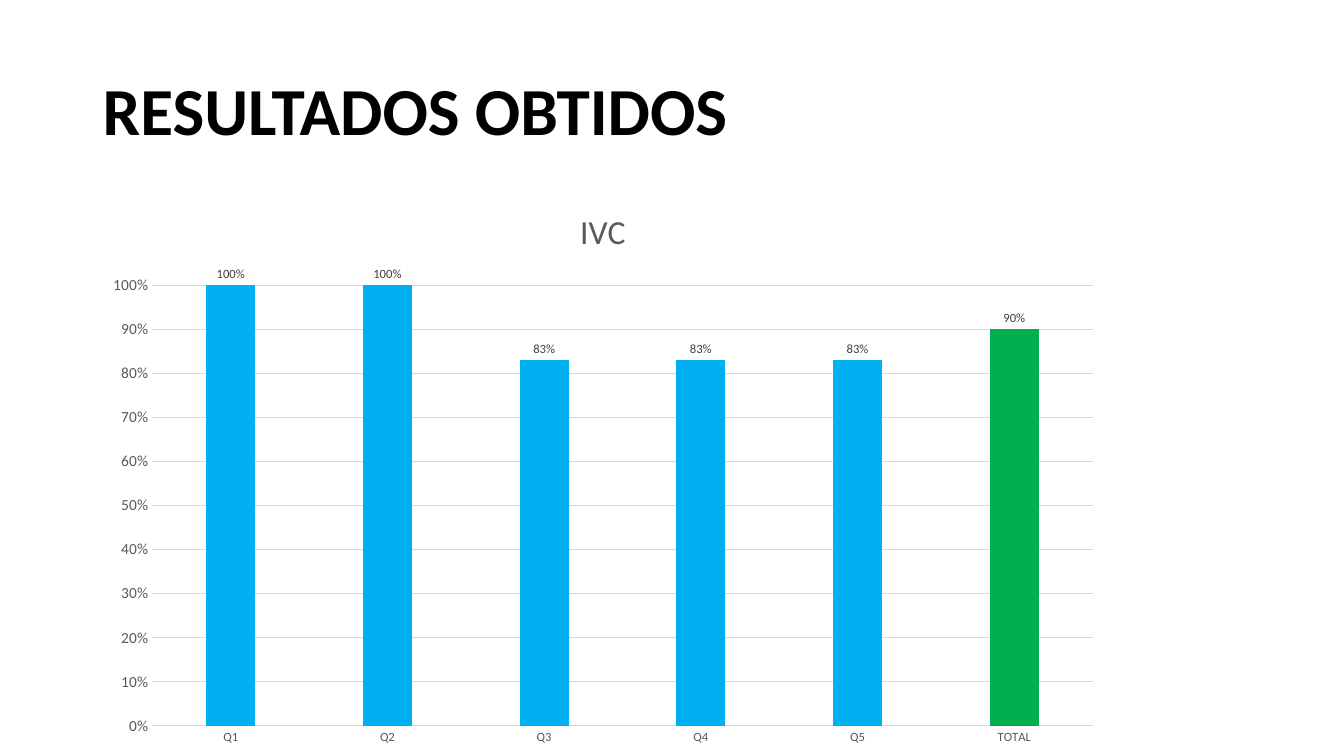
from dataclasses import dataclass

from pptx import Presentation
from pptx.chart.data import CategoryChartData
from pptx.dml.color import RGBColor
from pptx.enum.chart import XL_CHART_TYPE, XL_LABEL_POSITION, XL_TICK_MARK
from pptx.enum.text import MSO_ANCHOR
from pptx.util import Emu, Pt

PX = 9144  # 100 px to the inch
FONT = "Calibri"
BLACK = RGBColor(0x00, 0x00, 0x00)
GRAY = RGBColor(0x59, 0x59, 0x59)
LABEL_GRAY = RGBColor(0x40, 0x40, 0x40)
GRID_GRAY = RGBColor(0xD9, 0xD9, 0xD9)
BLUE = RGBColor(0x00, 0xB0, 0xF0)
GREEN = RGBColor(0x00, 0xB0, 0x50)


@dataclass(frozen=True)
class Bar:
    category: str
    value: float
    color: RGBColor = BLUE


BARS = [
    Bar("Q1", 1),
    Bar("Q2", 1),
    Bar("Q3", 0.83),
    Bar("Q4", 0.83),
    Bar("Q5", 0.83),
    Bar("TOTAL", 0.9, GREEN),
]


def px(*lengths: int) -> list[Emu]:
    return [Emu(n * PX) for n in lengths]


def set_font(font, size: int, color: RGBColor, bold: bool = False) -> None:
    font.name, font.size, font.bold = FONT, Pt(size), bold
    font.color.rgb = color


def write(tf, text: str, *, size: int, color: RGBColor, bold: bool = False,
          spacing: float | None = None) -> None:
    p = tf.paragraphs[0]
    p.line_spacing = spacing
    r = p.add_run()
    r.text = text
    set_font(r.font, size, color, bold)


def set_line(line, color: RGBColor) -> None:
    line.color.rgb = color
    line.width = Pt(0.75)


def add_heading(slide) -> None:
    tf = slide.shapes.add_textbox(*px(92, 40, 1150, 145)).text_frame
    tf.word_wrap = True
    tf.vertical_anchor = MSO_ANCHOR.MIDDLE
    write(tf, "RESULTADOS OBTIDOS", size=48, color=BLACK, bold=True, spacing=0.9)


def style_axes(chart) -> None:
    for axis, size in ((chart.category_axis, 9), (chart.value_axis, 11)):
        axis.major_tick_mark = axis.minor_tick_mark = XL_TICK_MARK.NONE
        set_font(axis.tick_labels.font, size, GRAY)
    set_line(chart.category_axis.format.line, GRID_GRAY)

    values = chart.value_axis
    values.minimum_scale, values.maximum_scale, values.major_unit = 0, 1, 0.1
    values.tick_labels.number_format = "0%"
    values.tick_labels.number_format_is_linked = False
    values.format.line.fill.background()
    values.has_major_gridlines = True
    set_line(values.major_gridlines.format.line, GRID_GRAY)


def style_bars(plot) -> None:
    plot.gap_width, plot.overlap, plot.vary_by_categories = 219, -27, False
    series = plot.series[0]
    series.format.fill.solid()
    series.format.fill.fore_color.rgb = BLUE
    for i, bar in enumerate(BARS):
        if bar.color != BLUE:
            fill = series.points[i].format.fill
            fill.solid()
            fill.fore_color.rgb = bar.color

    labels = series.data_labels
    labels.show_value = True
    labels.position = XL_LABEL_POSITION.OUTSIDE_END
    labels.number_format, labels.number_format_is_linked = "0%", False
    set_font(labels.font, 9, LABEL_GRAY)


def add_ivc_chart(slide) -> None:
    data = CategoryChartData(number_format="0%")
    data.categories = [bar.category for bar in BARS]
    data.add_series("IVC", [bar.value for bar in BARS])
    chart = slide.shapes.add_chart(
        XL_CHART_TYPE.COLUMN_CLUSTERED, *px(92, 185, 1012, 565), data).chart
    set_font(chart.font, 10, BLACK)
    chart.has_legend = False
    chart.has_title = True
    chart.chart_title.include_in_layout = False
    write(chart.chart_title.text_frame, "IVC", size=24, color=GRAY)
    style_axes(chart)
    style_bars(chart.plots[0])


def main() -> None:
    prs = Presentation()
    prs.slide_width, prs.slide_height = px(1333, 750)
    slide = prs.slides.add_slide(prs.slide_layouts[6])
    add_heading(slide)
    add_ivc_chart(slide)
    prs.save("out.pptx")


if __name__ == "__main__":
    main()
